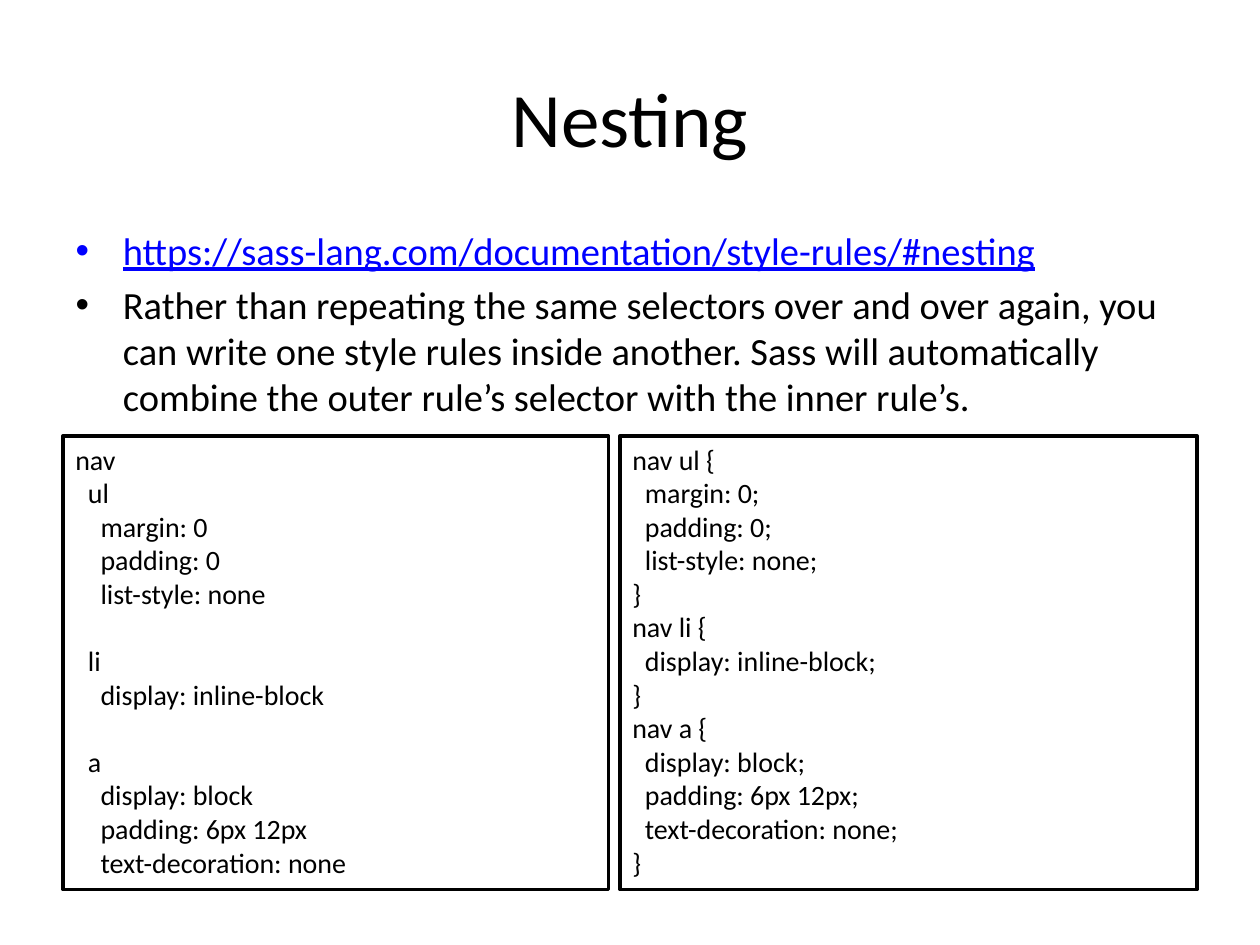
from pptx import Presentation
from pptx.dml.color import RGBColor
from pptx.enum.shapes import MSO_SHAPE
from pptx.enum.text import MSO_ANCHOR, MSO_AUTO_SIZE, PP_ALIGN
from pptx.util import Pt

RECTANGLE = MSO_SHAPE.RECTANGLE
TOP, MIDDLE = MSO_ANCHOR.TOP, MSO_ANCHOR.MIDDLE
FIT_TEXT = MSO_AUTO_SIZE.SHAPE_TO_FIT_TEXT
LEFT, CENTER = PP_ALIGN.LEFT, PP_ALIGN.CENTER

BLACK = RGBColor(0x00, 0x00, 0x00)
WHITE = RGBColor(0xFF, 0xFF, 0xFF)
LINK_BLUE = RGBColor(0x00, 0x00, 0xFF)

CODE_LINE = Pt(19.2)

SASS = """nav
  ul
    margin: 0
    padding: 0
    list-style: none

  li
    display: inline-block

  a
    display: block
    padding: 6px 12px
    text-decoration: none"""

CSS = """nav ul {
  margin: 0;
  padding: 0;
  list-style: none;
}
nav li {
  display: inline-block;
}
nav a {
  display: block;
  padding: 6px 12px;
  text-decoration: none;
}"""


def place(shape, left, top, width, height):
    box = {"left": left, "top": top, "width": width, "height": height}
    for side, points in box.items():
        setattr(shape, side, Pt(points))


def add_text(paragraph, text, size, color=BLACK, underline=False):
    run = paragraph.add_run()
    run.text = text
    look = {"name": "Calibri", "size": Pt(size), "underline": underline}
    for attribute, value in look.items():
        setattr(run.font, attribute, value)
    run.font.color.rgb = color


prs = Presentation()
prs.slide_width, prs.slide_height = Pt(720), Pt(540)
slide = prs.slides.add_slide(prs.slide_layouts[1])

heading = slide.shapes.title
place(heading, 36, 21.6, 648, 90)
heading.text_frame.vertical_anchor = MIDDLE
heading.text_frame.paragraphs[0].alignment = CENTER
add_text(heading.text_frame.paragraphs[0], "Nesting", 44)

explanation = slide.placeholders[1]
place(explanation, 36, 126, 648, 356.4)
reference = explanation.text_frame.paragraphs[0]
reference.space_before = Pt(0)
add_text(reference, "https://sass-lang.com/documentation/style-rules/#nesting",
         22, LINK_BLUE, True)
summary = explanation.text_frame.add_paragraph()
summary.space_before = Pt(4.4)
add_text(summary,
         "Rather than repeating the same selectors over and over again, you can "
         "write one style rules inside another. Sass will automatically combine "
         "the outer rule’s selector with the inner rule’s.", 22)

for code, left, width in ((SASS, 36, 311.76), (CSS, 354.24, 329.76)):
    panel = slide.shapes.add_shape(RECTANGLE, 0, 0, 0, 0)
    place(panel, left, 249.12, width, 259.2)
    panel.shadow.inherit = False
    panel.fill.solid()
    panel.fill.fore_color.rgb = WHITE
    panel.line.color.rgb = BLACK
    panel.line.width = Pt(2)

    frame = panel.text_frame
    frame.word_wrap = True
    frame.auto_size = FIT_TEXT
    frame.vertical_anchor = TOP
    paragraph = frame.paragraphs[0]
    for block_number, block in enumerate(code.split("\n\n")):
        for line_number, line in enumerate(block.split("\n")):
            if block_number or line_number:
                paragraph = frame.add_paragraph()
            if block_number and line_number == 0:
                paragraph.space_before = CODE_LINE
            paragraph.alignment = LEFT
            add_text(paragraph, line, 16)

prs.save("out.pptx")
